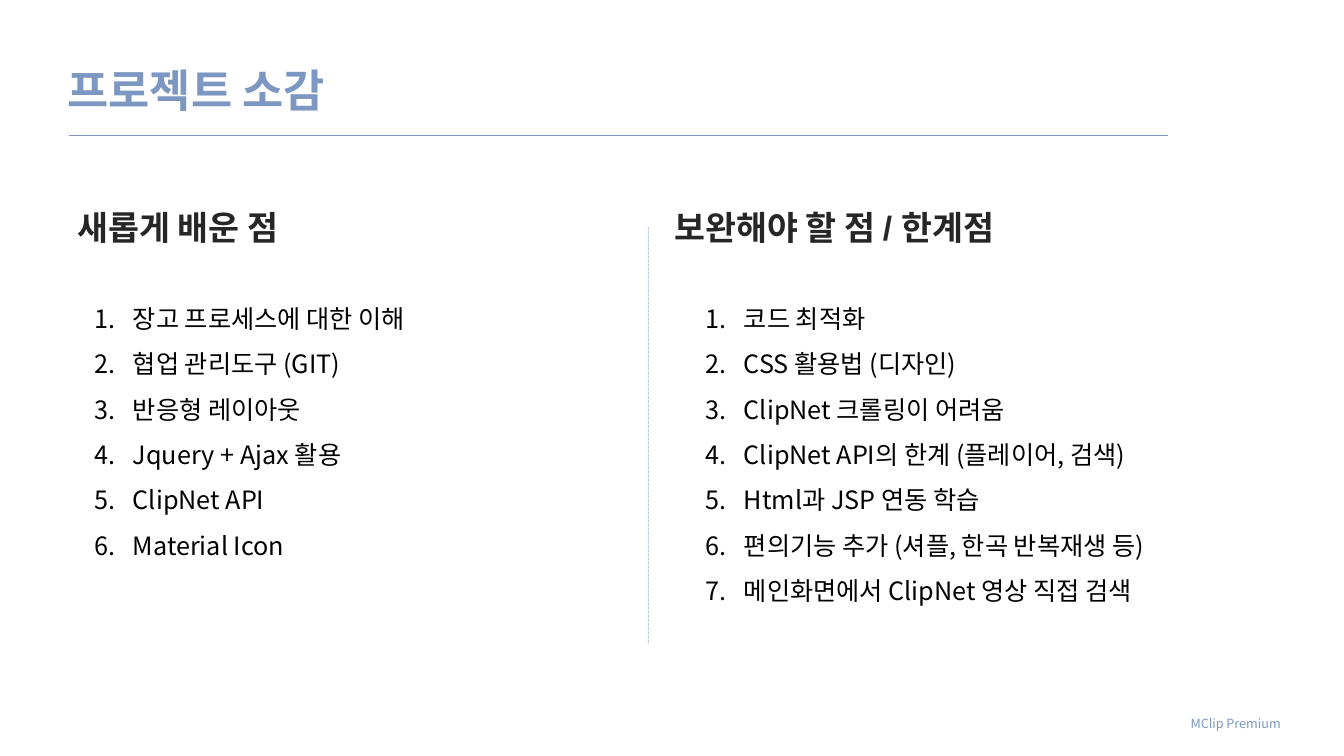
from pptx import Presentation
from pptx.dml.color import RGBColor
from pptx.enum.dml import MSO_LINE
from pptx.enum.shapes import MSO_CONNECTOR as Conn
from pptx.enum.text import MSO_ANCHOR as Anchor, MSO_AUTO_SIZE as Auto
from pptx.oxml.ns import qn
from pptx.util import Inches, Pt
from lxml.etree import SubElement as Sub

BLUE = RGBColor(0x7C, 0x97, 0xC2)
DARK = RGBColor(0x26, 0x26, 0x26)
BLACK = RGBColor(0, 0, 0)
SANS = "Noto Sans CJK KR"
HEAD = "Arial"


class Page:
    def __init__(self, slide):
        self.shapes = slide.shapes

    def text(self, box, lines, size, color, face=SANS, bold=False, gap=1.5):
        shape = self.shapes.add_textbox(*map(Inches, box))
        frame = shape.text_frame
        frame.word_wrap = True
        frame.auto_size = Auto.SHAPE_TO_FIT_TEXT
        frame.text = "\n".join(lines)
        for para in frame.paragraphs:
            para.line_spacing = gap
            font = para.font
            font.name, font.size, font.bold = face, Pt(size), bold
            font.color.rgb = color
            if face == SANS:
                Sub(font._element, qn("a:ea"), typeface=face)
        return frame

    def heading(self, box, line):
        frame = self.text(box, [line], 24, DARK, HEAD, True, 1.0)
        frame.vertical_anchor = Anchor.MIDDLE
        frame.paragraphs[0].space_before = Pt(6)

    def steps(self, box, lines):
        for para in self.text(box, lines, 18, BLACK).paragraphs:
            props = para._p.get_or_add_pPr()
            props.set("marL", str(Inches(0.38)))
            props.set("indent", str(-Inches(0.38)))
            mark = props.makeelement(qn("a:buAutoNum"), type="arabicPeriod")
            props.find(qn("a:defRPr")).addprevious(mark)

    def rule(self, ends, dashed=False):
        line = self.shapes.add_connector(Conn.STRAIGHT, *map(Inches, ends))
        line.line.color.rgb = BLUE
        line.line.width = Pt(0.75)
        if dashed:
            line.line.dash_style = MSO_LINE.SQUARE_DOT
            tint = line._element.spPr.find(".//" + qn("a:srgbClr"))
            Sub(tint, qn("a:alpha"), val="50000")
        Sub(line._element.spPr, qn("a:effectLst"))


deck = Presentation()
deck.slide_width, deck.slide_height = Inches(13.33), Inches(7.5)
page = Page(deck.slides.add_slide(deck.slide_layouts[6]))

# Title and footer
page.text((0.57, 0.31, 9.17, 0.8), ["프로젝트 소감"], 32, BLUE, bold=True)
page.rule((0.68, 1.34, 11.58, 1.34))
page.text((11.71, 6.98, 1.53, 0.3), ["MClip Premium"], 9, BLUE)

# Divider between the columns
page.rule((6.43, 2.25, 6.43, 6.39), dashed=True)

# Lessons learned
page.heading((0.67, 2, 2.52, 0.5), "새롭게 배운 점")
page.steps((0.84, 2.81, 3.63, 2.83), [
    "장고 프로세스에 대한 이해",
    "협업 관리도구 (GIT)",
    "반응형 레이아웃",
    "Jquery + Ajax 활용",
    "ClipNet API",
    "Material Icon",
])

# Limits and things to improve
page.heading((6.59, 2, 4.09, 0.5), "보완해야 할 점 / 한계점")
page.steps((6.9, 2.81, 5.04, 3.28), [
    "코드 최적화",
    "CSS 활용법 (디자인)",
    "ClipNet 크롤링이 어려움",
    "ClipNet API의 한계 (플레이어, 검색)",
    "Html과 JSP 연동 학습",
    "편의기능 추가 (셔플, 한곡 반복재생 등)",
    "메인화면에서 ClipNet 영상 직접 검색",
])

deck.save("out.pptx")
